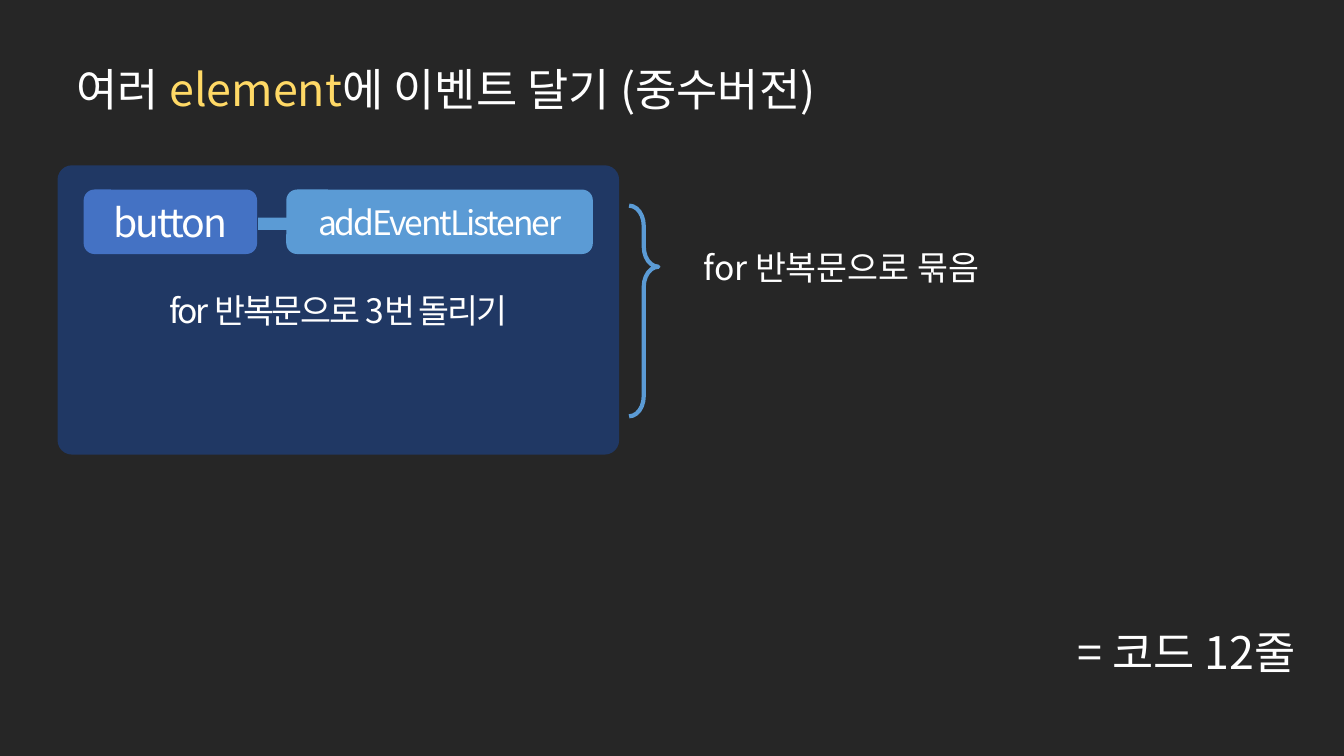
"""Builds a slide on attaching events to several elements with a for loop."""
from dataclasses import dataclass

from lxml.etree import SubElement
from pptx import Presentation
from pptx.dml.color import RGBColor
from pptx.enum.shapes import MSO_SHAPE as SHAPE
from pptx.enum.text import MSO_ANCHOR as ANCHOR, MSO_AUTO_SIZE as AUTO, PP_ALIGN as ALIGN
from pptx.oxml.ns import qn
from pptx.util import Inches, Pt


@dataclass(frozen=True)
class Theme:
    font: str = "Noto Sans CJK KR"
    back: str = "262626"
    text: str = "FFFFFF"
    accent: str = "FFD966"
    navy: str = "203864"
    blue: str = "4472C4"
    sky: str = "5B9BD5"
    large: int = 32
    medium: int = 28
    small: int = 24
    tight: float = -1.5


@dataclass(frozen=True)
class Box:
    """Place and size in percent of the slide's width and height."""
    x: float
    y: float
    w: float
    h: float


@dataclass(frozen=True)
class Block:
    box: Box
    fill: str
    text: str = ""
    size: int = 0
    kind: SHAPE = SHAPE.ROUNDED_RECTANGLE
    radius: float | None = None


@dataclass(frozen=True)
class Label:
    box: Box
    text: str
    size: int
    align: ALIGN


T = Theme()
ROW_Y, ROW_H = 25.07, 8.53
TITLE_BOX = Box(4.95, 4.53, 74.57, 15.2)
TITLE = (("여러 ", T.text), ("element", T.accent), ("에 이벤트 달기 (중수버전)", T.text))
BRACE_BOX = Box(46.81, 27.2, 2.18, 27.87)
BLOCKS = (
    Block(Box(4.28, 21.87, 41.79, 38.27), T.navy, "for 반복문으로 3번 돌리기", T.small, radius=0.05),
    Block(Box(6.23, ROW_Y, 12.9, ROW_H), T.blue, "button", T.medium),
    Block(Box(21.3, ROW_Y, 22.81, ROW_H), T.sky, "addEventListener", T.small),
    Block(Box(19.2, 28.8, 2.25, 1.6), T.sky, kind=SHAPE.RECTANGLE),
)
LABELS = (
    Label(Box(51.61, 31.47, 47.19, 7.33), "for 반복문으로 묶음", T.small, ALIGN.LEFT),
    Label(Box(40.14, 81.2, 57.01, 9.2), "= 코드 12줄", T.large, ALIGN.RIGHT),
)

prs = Presentation()
prs.slide_width, prs.slide_height = Inches(13.33), Inches(7.5)


def rgb(color: str) -> RGBColor:
    return RGBColor.from_string(color)


def place(box: Box) -> tuple[int, int, int, int]:
    """Turns percent into left, top, width and height."""
    w, h = prs.slide_width / 100, prs.slide_height / 100
    return round(box.x * w), round(box.y * h), round(box.w * w), round(box.h * h)


def write(p, parts, size: int, align: ALIGN, spacing: float = 0) -> None:
    """Fills a paragraph with coloured runs of one font and size."""
    p.alignment = align
    p.font.size, p.font.name = Pt(size), T.font
    for text, color in parts:
        r = p.add_run()
        r.text = text
        r.font.color.rgb = rgb(color)
        rpr = r.font._element
        SubElement(rpr, qn("a:ea")).set("typeface", T.font)
        if spacing:
            rpr.set("spc", str(round(spacing * 100)))


def add_title(s) -> None:
    sp = s.shapes.title
    sp.left, sp.top, sp.width, sp.height = place(TITLE_BOX)
    tf = sp.text_frame
    tf.auto_size, tf.vertical_anchor = AUTO.NONE, ANCHOR.MIDDLE
    p = tf.paragraphs[0]
    p.line_spacing = 0.9
    write(p, TITLE, T.large, ALIGN.LEFT)


def add_block(s, block: Block) -> None:
    sp = s.shapes.add_shape(block.kind, *place(block.box))
    sp.shadow.inherit = False
    sp.fill.solid()
    sp.fill.fore_color.rgb = rgb(block.fill)
    sp.line.fill.background()
    if block.radius is not None:
        sp.adjustments[0] = block.radius
    if block.text:
        tf = sp.text_frame
        tf.vertical_anchor = ANCHOR.MIDDLE
        p = tf.paragraphs[0]
        p.space_before = Pt(10)
        write(p, [(block.text, T.text)], block.size, ALIGN.CENTER, T.tight)


def add_brace(s) -> None:
    sp = s.shapes.add_shape(SHAPE.RIGHT_BRACE, *place(BRACE_BOX))
    sp.shadow.inherit = False
    sp.fill.background()
    sp.line.color.rgb, sp.line.width = rgb(T.sky), Pt(3)
    sp.adjustments[0], sp.adjustments[1] = 0.69, 0.29


def add_label(s, label: Label) -> None:
    tf = s.shapes.add_textbox(*place(label.box)).text_frame
    tf.word_wrap, tf.auto_size = True, AUTO.SHAPE_TO_FIT_TEXT
    p = tf.paragraphs[0]
    p.line_spacing = 1.1
    write(p, [(label.text, T.text)], label.size, label.align)


def main() -> None:
    s = prs.slides.add_slide(prs.slide_layouts[5])
    s.background.fill.solid()
    s.background.fill.fore_color.rgb = rgb(T.back)
    add_title(s)
    for block in BLOCKS:
        add_block(s, block)
    add_brace(s)
    for label in LABELS:
        add_label(s, label)
    prs.save("out.pptx")


if __name__ == "__main__":
    main()
